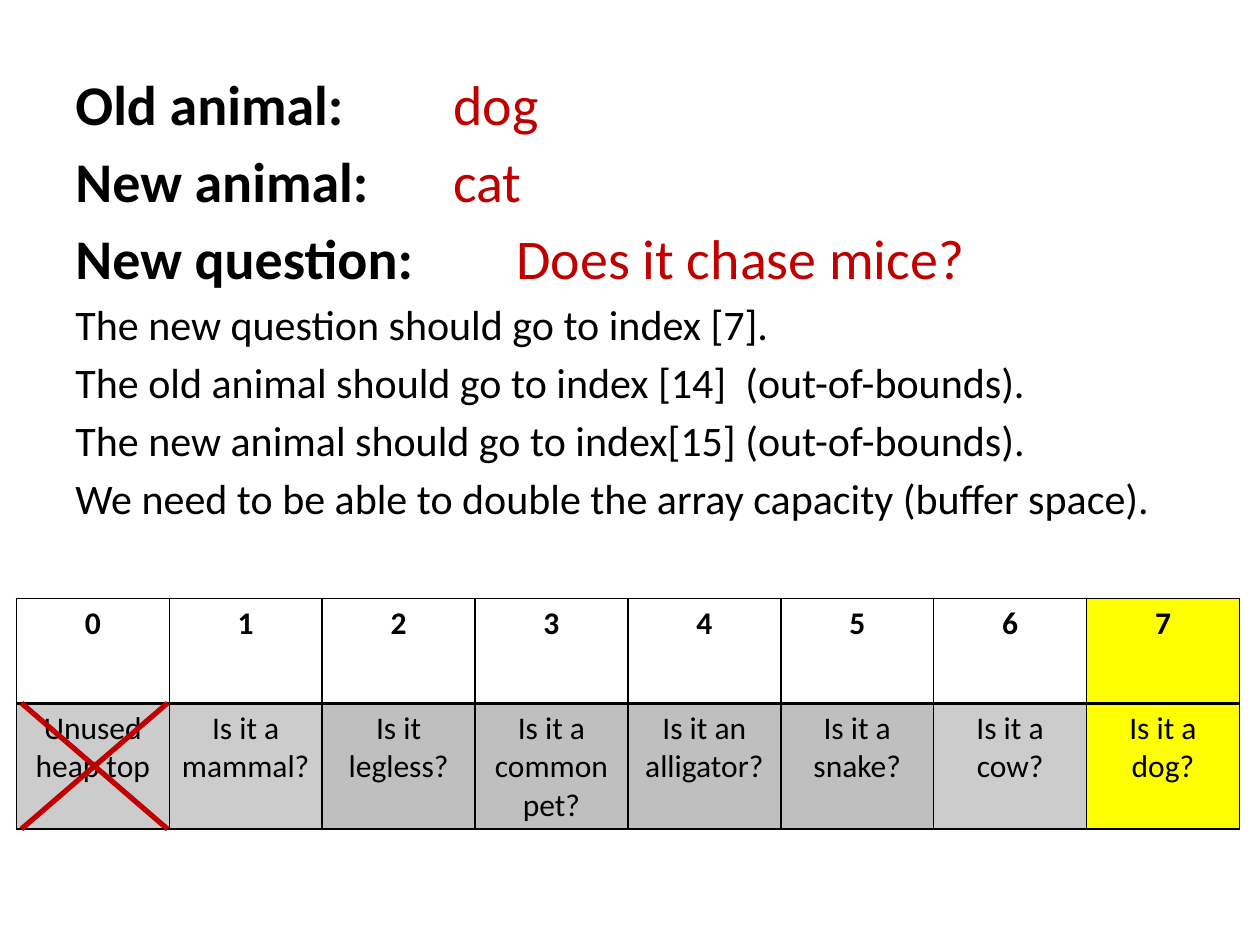
from lxml.etree import SubElement
from pptx import Presentation
from pptx.dml.color import RGBColor
from pptx.enum.shapes import MSO_CONNECTOR
from pptx.enum.text import PP_ALIGN
from pptx.oxml.ns import qn
from pptx.util import Inches, Pt

FONT = "Calibri"
BLACK = RGBColor(0, 0, 0)
WHITE = RGBColor(255, 255, 255)
RED = RGBColor(0xC0, 0, 0)
GREY = RGBColor(0xBF, 0xBF, 0xBF)
YELLOW = RGBColor(255, 255, 0)

ANSWERS = [
    ("Old animal: \t\t", "dog"),
    ("New animal:\t\t", "cat"),
    ("New question:\t\t", "Does it chase mice?"),
]
NOTES = [
    "The new question should go to index [7].",
    "The old animal should go to index [14]  (out-of-bounds).",
    "The new animal should go to index[15] (out-of-bounds).",
    "We need to be able to double the array capacity (buffer space).",
]

# Heap node and its fill; None is the see-through black shade
HEAP = [
    ("Unused heap top", None),
    ("Is it a mammal?", None),
    ("Is it legless?", GREY),
    ("Is it a common pet?", GREY),
    ("Is it an alligator?", GREY),
    ("Is it a snake?", GREY),
    ("Is it a cow?", None),
    ("Is it a dog?", YELLOW),
]


def style(run, size, color=BLACK, bold=False):
    run.font.name = FONT
    run.font.size = Pt(size)
    run.font.bold = bold
    run.font.color.rgb = color


def add_explanation(slide):
    box = slide.shapes.add_textbox(Inches(0.5), Inches(0.5), Inches(9.42), Inches(6.17))
    frame = box.text_frame
    frame.word_wrap = True
    lines = ANSWERS + [(note,) for note in NOTES]
    for number, parts in enumerate(lines):
        is_answer = len(parts) == 2
        size = 32 if is_answer else 24
        paragraph = frame.add_paragraph() if number else frame.paragraphs[0]
        paragraph.space_before = Pt(size * 0.18 if number else 0)
        for part, color in zip(parts, (BLACK, RED)):
            run = paragraph.add_run()
            run.text = part
            style(run, size, color, bold=is_answer and color == BLACK)


def set_borders(cell, widths):
    properties = cell._tc.get_or_add_tcPr()
    for side, width in zip("LRTB", widths):
        line = SubElement(properties, qn(f"a:ln{side}"), w=str(Pt(width)))
        fill = SubElement(line, qn("a:solidFill"))
        SubElement(fill, qn("a:srgbClr"), val=str(BLACK))


def fill_cell(cell, text, fill, bold, borders):
    set_borders(cell, borders)
    cell.fill.solid()
    cell.fill.fore_color.rgb = fill or BLACK
    if fill is None:
        color = cell._tc.tcPr.find(qn("a:solidFill")).find(qn("a:srgbClr"))
        SubElement(color, qn("a:alpha"), val="20000")
    cell.text_frame.text = text
    paragraph = cell.text_frame.paragraphs[0]
    paragraph.alignment = PP_ALIGN.CENTER
    style(paragraph.runs[0], 18, bold=bold)


def add_heap_table(slide):
    heap = slide.shapes.add_table(
        2, len(HEAP), Inches(0.13), Inches(4.75), Inches(9.71), Inches(1.83)
    ).table
    heap.rows[0].height = Inches(0.83)
    heap.rows[1].height = Inches(1)
    for index, (node, fill) in enumerate(HEAP):
        index_fill = YELLOW if fill == YELLOW else WHITE
        fill_cell(heap.cell(0, index), str(index), index_fill, True, (1, 1, 1, 2))
        fill_cell(heap.cell(1, index), node, fill, False, (1, 1, 2, 1))


def add_stroke(slide, start_x, end_x):
    stroke = slide.shapes.add_connector(
        MSO_CONNECTOR.STRAIGHT,
        Inches(start_x), Inches(5.58), Inches(end_x), Inches(6.58),
    )
    stroke.line.color.rgb = RED
    stroke.line.width = Pt(3)
    SubElement(stroke._element.spPr, qn("a:effectLst"))


def main():
    presentation = Presentation()
    presentation.slide_width = Inches(10)
    presentation.slide_height = Inches(7.5)
    slide = presentation.slides.add_slide(presentation.slide_layouts[6])

    add_explanation(slide)
    add_heap_table(slide)

    # Cross out the unused heap top
    add_stroke(slide, 0.17, 1.33)
    add_stroke(slide, 1.33, 0.17)

    presentation.save("out.pptx")


if __name__ == "__main__":
    main()
